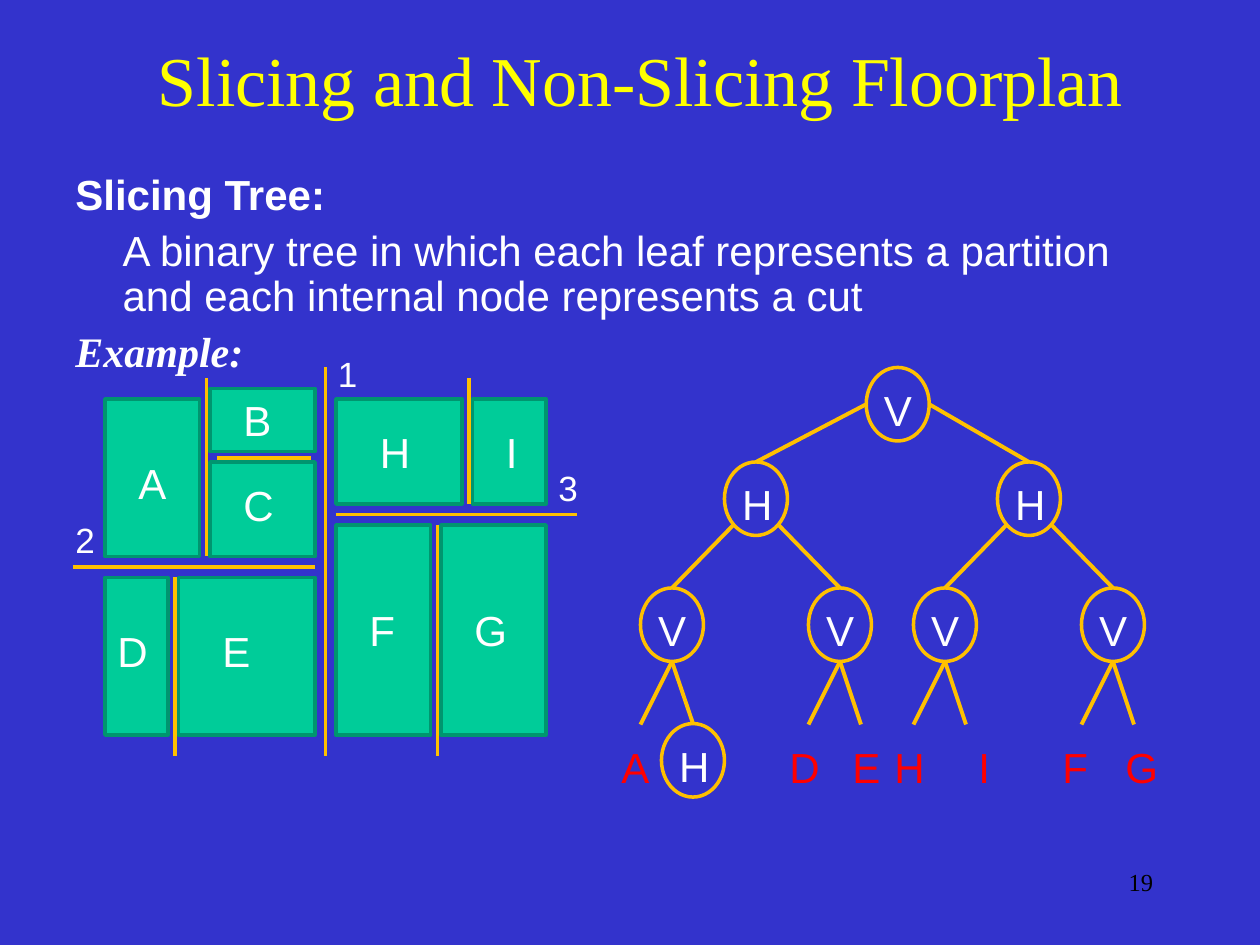
import pptx
import pptx.dml.color
import pptx.enum.shapes
import pptx.enum.text
import pptx.util
from lxml import etree

Pt = pptx.util.Pt
SHAPES = pptx.enum.shapes.MSO_SHAPE
ALIGN = pptx.enum.text.PP_ALIGN
ANCHOR = pptx.enum.text.MSO_ANCHOR
COLORS = {
    name: pptx.dml.color.RGBColor.from_string(value)
    for name, value in {
        "background": "3333CC", "title": "FFFF00", "text": "FFFFFF",
        "room": "00CC99", "room edge": "00956F", "cut": "FFC000",
        "leaf": "FF0000", "number": "000000",
    }.items()
}

presentation = pptx.Presentation()
presentation.slide_width = Pt(720)
presentation.slide_height = Pt(540)
slide = presentation.slides.add_slide(presentation.slide_layouts[6])
slide.background.fill.solid()
slide.background.fill.fore_color.rgb = COLORS["background"]


def add_text(text, left, top, width=30, height=36, size=24, color="text",
             font="Arial", align=ALIGN.LEFT):
    """Add a text box with one paragraph per line of text; return its frame."""
    box = slide.shapes.add_textbox(Pt(left), Pt(top), Pt(width), Pt(height))
    frame = box.text_frame
    frame.word_wrap = True
    frame.text = text
    for paragraph in frame.paragraphs:
        paragraph.alignment = align
        paragraph.font.size = Pt(size)
        paragraph.font.name = font
        paragraph.font.color.rgb = COLORS[color]
    return frame


def add_line(start_x, start_y, end_x, end_y):
    line = slide.shapes.add_connector(
        pptx.enum.shapes.MSO_CONNECTOR.STRAIGHT,
        Pt(start_x), Pt(start_y), Pt(end_x), Pt(end_y))
    line.line.color.rgb = COLORS["cut"]
    line.line.width = Pt(2.25)
    etree.SubElement(line._element.spPr, pptx.oxml.ns.qn("a:effectLst"))
    return line


# Title, definition and slide number
title = add_text("Slicing and Non-Slicing Floorplan", 72, 12, 588, 66, 40,
                 "title", "Times New Roman", ALIGN.CENTER)
title.vertical_anchor = ANCHOR.MIDDLE

body = add_text(
    "Slicing Tree:\n"
    "A binary tree in which each leaf represents a partition "
    "and each internal node represents a cut\n"
    "Example:", 36, 96, 630, 126)
heading, definition, example = body.paragraphs
for paragraph in body.paragraphs:
    paragraph.line_spacing = 0.9
for paragraph in (definition, example):
    paragraph.space_before = Pt(6)
heading.font.bold = True
definition._p.get_or_add_pPr().set("marL", str(Pt(27)))
example.font.name = "Times New Roman"
example.font.bold = True
example.font.italic = True

add_text("19", 516, 492, 150, 36, 14, "number", "Times New Roman", ALIGN.RIGHT)

# Floorplan: name, room left, top, width, height, label left, top
rooms = [
    ("A", 60, 228, 54, 90, 72, 258),
    ("B", 120, 222, 60, 36, 132, 222),
    ("C", 120, 264, 60, 54, 132, 270.5),
    ("D", 60, 330, 36, 90, 60, 354),
    ("E", 102, 330, 78, 90, 120, 354),
    ("F", 192, 300, 54, 120, 204, 342),
    ("G", 252, 300, 60, 120, 264, 342),
    ("H", 192, 228, 72, 60, 210, 240),
    ("I", 270, 228, 42, 60, 282, 240),
]
for name, left, top, width, height, label_left, label_top in rooms:
    room = slide.shapes.add_shape(
        SHAPES.RECTANGLE, Pt(left), Pt(top), Pt(width), Pt(height))
    room.shadow.inherit = False
    room.fill.solid()
    room.fill.fore_color.rgb = COLORS["room"]
    room.line.color.rgb = COLORS["room edge"]
    room.line.width = Pt(2)
    add_text(name, label_left, label_top)

cuts = [
    (186, 210, 186, 432), (42, 324, 180, 324), (192, 294, 330, 294),
    (118, 216, 118, 318), (100, 330, 100, 432), (268, 216, 268, 288),
    (250, 300, 250, 432), (124, 261.5, 178, 261.5),
]
for cut in cuts:
    add_line(*cut)
for number, left, top in [("1", 186, 198), ("2", 36, 292.5), ("3", 312, 263)]:
    add_text(number, left, top, height=31.5, size=20)

# Slicing tree
NODE_WIDTH, NODE_HEIGHT = 36, 42
nodes = {  # key: (letter, left, top)
    "root": ("V", 495, 210),
    "left": ("H", 414, 264), "right": ("H", 570, 264),
    "AH": ("V", 366, 336), "DE": ("V", 462, 336),
    "HI": ("V", 522, 336), "FG": ("V", 618, 336),
    "BC": ("H", 378, 413.5),
}
ovals = {}
for key, (letter, left, top) in nodes.items():
    oval = slide.shapes.add_shape(
        SHAPES.OVAL, Pt(left), Pt(top), Pt(NODE_WIDTH), Pt(NODE_HEIGHT))
    oval.shadow.inherit = False
    oval.fill.background()
    oval.line.color.rgb = COLORS["cut"]
    oval.line.width = Pt(2)
    ovals[key] = oval
    add_text(letter, left + 3, top + 6)

# Branches leave the root at its sides and the next level at its lower diagonals
branches = [
    ("root", "left", -18, 0), ("root", "right", 18, 0),
    ("left", "AH", -12.7, 14.8), ("left", "DE", 12.7, 14.8),
    ("right", "HI", -12.7, 14.8), ("right", "FG", 12.7, 14.8),
]
for parent, child, shift_x, shift_y in branches:
    _, left, top = nodes[parent]
    start_x = left + NODE_WIDTH / 2 + shift_x
    start_y = top + NODE_HEIGHT / 2 + shift_y
    add_line(start_x, start_y, start_x, start_y).end_connect(ovals[child], 0)

for parent in ("AH", "DE", "HI", "FG"):
    _, left, top = nodes[parent]
    center, bottom = left + NODE_WIDTH / 2, top + NODE_HEIGHT
    for shift in (-18, 12):
        twig = add_line(center, bottom, center + shift, bottom + 36)
        twig.begin_connect(ovals[parent], 2)
        if parent == "AH" and shift > 0:
            twig.end_connect(ovals["BC"], 0)

leaves = [("A", 348), ("D", 444), ("E", 480), ("H", 504), ("I", 552),
          ("F", 600), ("G", 636)]
for name, left in leaves:
    add_text(name, left, 420, color="leaf")

presentation.save("out.pptx")
